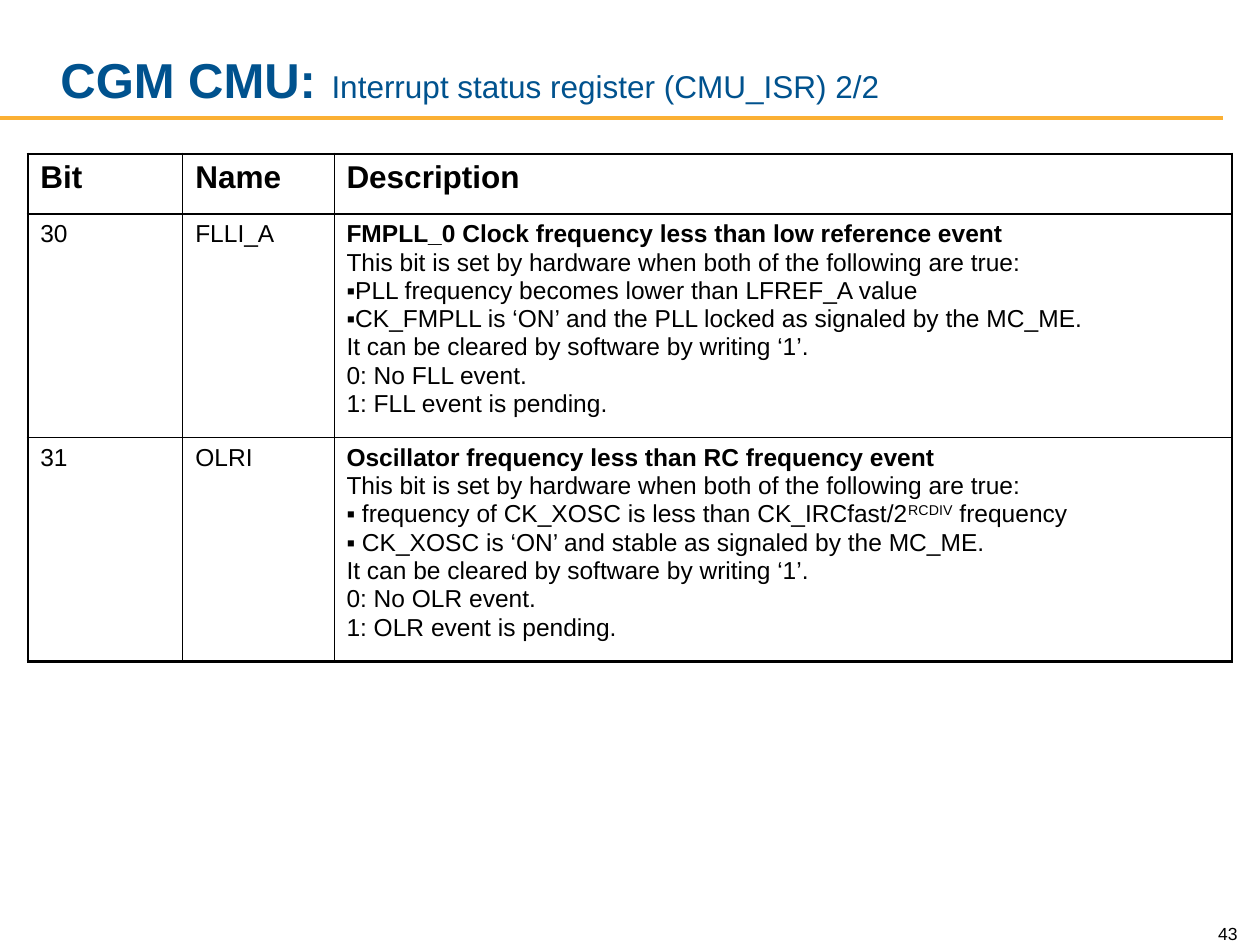
from lxml.etree import SubElement
from pptx import Presentation
from pptx.dml.color import RGBColor
from pptx.enum.shapes import MSO_CONNECTOR as Connector
from pptx.enum.text import MSO_ANCHOR as Anchor, MSO_AUTO_SIZE as AutoSize, PP_ALIGN as Align
from pptx.oxml import parse_xml
from pptx.oxml.ns import nsdecls, qn
from pptx.util import Inches, Pt

COLORS = {"text": "000000", "title": "00528E", "rule": "FBB034", "border": "000000"}
COLUMNS, ROWS = 100, 75
THICK, THIN = 1.5, 0.5

HEADING = {"size": 18, "bold": True}
BODY = {"size": 14, "bold": False}
STRONG = {"size": 14, "bold": True}
LABEL = {"indent": 0.25, "before": 20}
DETAIL = {"before": 3}
BULLET = {"before": 3, "bullet": "▪"}


def label(text, style=BODY):
    """Cell content of one hanging paragraph."""
    return [([(text, style)], LABEL)]


def description(heading, conditions, event):
    """Cell content of a bold heading, bulleted conditions and the bit values."""
    def plain(text):
        return [(text, BODY)], DETAIL

    return [
        ([(heading, STRONG)], DETAIL),
        plain("This bit is set by hardware when both of the following are true:"),
        *((runs, BULLET) for runs in conditions),
        plain("It can be cleared by software by writing ‘1’."),
        plain(f"0: No {event} event."),
        plain(f"1: {event} event is pending."),
    ]


REGISTER_BITS = [
    [label(text, HEADING) for text in ("Bit", "Name", "Description")],
    [label("30"), label("FLLI_A"), description(
        "FMPLL_0 Clock frequency less than low reference event",
        [[("PLL frequency becomes lower than LFREF_A value", BODY)],
         [("CK_FMPLL is ‘ON’ and the PLL locked as signaled by the MC_ME.", BODY)]],
        "FLL")],
    [label("31"), label("OLRI"), description(
        "Oscillator frequency less than RC frequency event",
        [[(" frequency of CK_XOSC is less than CK_IRCfast/2", BODY),
          ("RCDIV", {**BODY, "baseline": 30}),
          (" frequency", BODY)],
         [(" CK_XOSC is ‘ON’ and stable as signaled by the MC_ME.", BODY)]],
        "OLR")],
]


class SlideBuilder:
    """Draws on one slide; lengths are columns and rows of its grid."""

    def __init__(self, presentation, font="Arial"):
        self.font = font
        self.column = presentation.slide_width / COLUMNS
        self.row = presentation.slide_height / ROWS
        self.slide = presentation.slides.add_slide(presentation.slide_layouts[5])

    def place(self, left, top, width, height):
        return (round(left * self.column), round(top * self.row),
                round(width * self.column), round(height * self.row))

    def add_runs(self, paragraph, runs, color="text"):
        for text, style in runs:
            run = paragraph.add_run()
            run.text = text
            values = {"name": self.font, "size": Pt(style["size"]), "bold": style["bold"]}
            for name, value in values.items():
                setattr(run.font, name, value)
            run.font.color.rgb = RGBColor.from_string(COLORS[color])
            if "baseline" in style:
                run._r.get_or_add_rPr().set("baseline", str(style["baseline"] * 1000))

    def format_frame(self, frame):
        values = {"word_wrap": True, "auto_size": AutoSize.NONE,
                  "vertical_anchor": Anchor.BOTTOM}
        for name, value in values.items():
            setattr(frame, name, value)

    def title(self, box, runs):
        shape = self.slide.shapes.title
        for name, value in zip(("left", "top", "width", "height"), self.place(*box)):
            setattr(shape, name, value)
        self.format_frame(shape.text_frame)
        paragraph = shape.text_frame.paragraphs[0]
        paragraph.alignment = Align.LEFT
        self.add_runs(paragraph, runs, "title")

    def text(self, box, runs, alignment):
        frame = self.slide.shapes.add_textbox(*self.place(*box)).text_frame
        self.format_frame(frame)
        paragraph = frame.paragraphs[0]
        paragraph.alignment = alignment
        self.add_runs(paragraph, runs)

    def rule(self, left, right, top, weight):
        x, y, width, _ = self.place(left, top, right - left, 0)
        line = self.slide.shapes.add_connector(Connector.STRAIGHT, x, y, x + width, y)
        line.line.color.rgb = RGBColor.from_string(COLORS["rule"])
        line.line.width = Pt(weight)
        SubElement(line._element.spPr, qn("a:effectLst"))

    def format_paragraph(self, paragraph, layout):
        properties = paragraph._p.get_or_add_pPr()
        indent = Inches(layout.get("indent", 0))
        properties.set("marL", str(int(indent)))
        properties.set("indent", str(-int(indent)))
        spacing = SubElement(properties, qn("a:spcBef"))
        SubElement(spacing, qn("a:spcPct")).set("val", str(layout["before"] * 1000))
        if "bullet" in layout:
            color = SubElement(properties, qn("a:buClr"))
            SubElement(color, qn("a:srgbClr")).set("val", COLORS["text"])
            SubElement(properties, qn("a:buFont")).set("typeface", self.font)
            SubElement(properties, qn("a:buChar")).set("char", layout["bullet"])
        else:
            SubElement(properties, qn("a:buNone"))

    def border(self, cell, weights):
        """Set the left, right, top and bottom lines of a cell."""
        properties = cell._tc.get_or_add_tcPr()
        for position, (side, weight) in enumerate(zip("LRTB", weights)):
            properties.insert(position, parse_xml(
                f'<a:ln{side} {nsdecls("a")} w="{int(Pt(weight))}"><a:solidFill>'
                f'<a:srgbClr val="{COLORS["border"]}"/></a:solidFill></a:ln{side}>'))

    def table(self, left, top, widths, heights, contents):
        box = self.place(left, top, sum(widths), sum(heights))
        table = self.slide.shapes.add_table(len(heights), len(widths), *box).table
        table.first_row = table.horz_banding = False
        for column, width in zip(table.columns, widths):
            column.width = round(width * self.column)
        for row, height in zip(table.rows, heights):
            row.height = round(height * self.row)
        vertical = [THICK] + [THIN] * (len(widths) - 1) + [THICK]
        horizontal = [THICK, THICK] + [THIN] * (len(heights) - 2) + [THICK]
        for r, row in enumerate(contents):
            for c, paragraphs in enumerate(row):
                cell = table.cell(r, c)
                cell.fill.background()
                self.border(cell, vertical[c:c + 2] + horizontal[r:r + 2])
                frame = cell.text_frame
                for number, (runs, layout) in enumerate(paragraphs):
                    paragraph = frame.add_paragraph() if number else frame.paragraphs[0]
                    self.format_paragraph(paragraph, layout)
                    self.add_runs(paragraph, runs)


def main():
    presentation = Presentation()
    presentation.slide_width, presentation.slide_height = Inches(10), Inches(7.5)
    builder = SlideBuilder(presentation)
    builder.rule(0, 97.1, 9.4, 2.25)
    builder.text((94.2, 72.4, 5, 3), [("43", {"size": 10, "bold": False})], Align.RIGHT)
    builder.title((3.8, 1.7, 81.7, 7.5), [
        ("CGM CMU:", {"size": 28, "bold": True}),
        (" ", {"size": 32, "bold": True}),
        ("Interrupt status register (CMU_ISR) 2/2", {**HEADING, "bold": False}),
    ])
    builder.table(2.2, 12.2, [12.3, 12, 71.3], [4.8, 17.75, 17.75], REGISTER_BITS)
    presentation.save("out.pptx")


if __name__ == "__main__":
    main()
